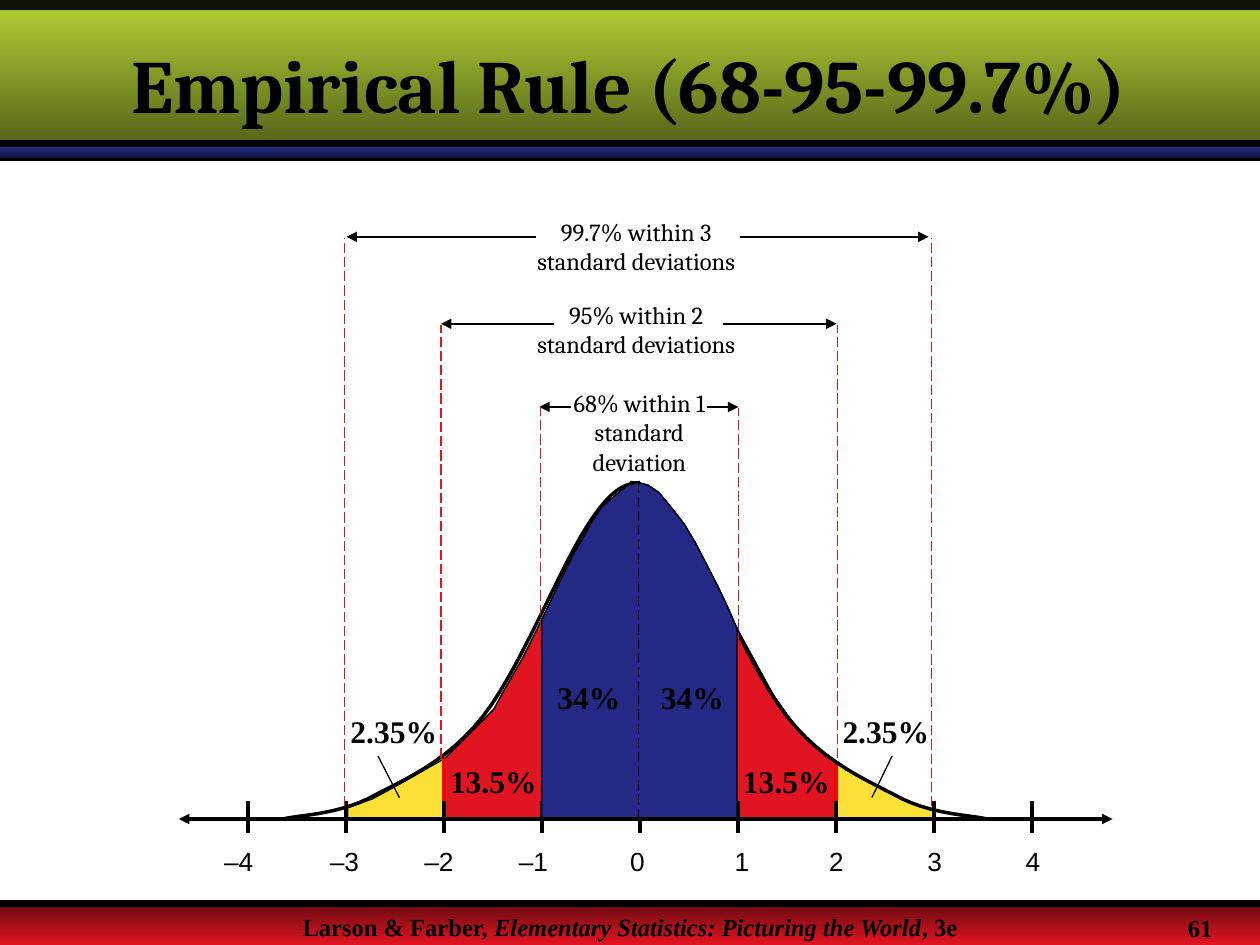
"""Build the Empirical Rule slide on a grid of 100 columns by 75 rows."""
from dataclasses import dataclass
from typing import NamedTuple

import lxml.etree
import pptx
import pptx.dml.color
import pptx.enum.dml
import pptx.enum.shapes
import pptx.enum.text
import pptx.oxml.ns
import pptx.util

RGBColor = pptx.dml.color.RGBColor
BLACK = RGBColor(0x00, 0x00, 0x00)
RED = RGBColor(0xE1, 0x15, 0x21)
DARK_RED = RGBColor(0x68, 0x0A, 0x0F)
EDGE_RED = RGBColor(0xFF, 0x00, 0x00)
BLUE = RGBColor(0x24, 0x29, 0x85)
DARK_BLUE = RGBColor(0x11, 0x13, 0x3E)
GREEN = RGBColor(0xB5, 0xD3, 0x35)
DARK_GREEN = RGBColor(0x54, 0x62, 0x19)
YELLOW = RGBColor(0xFB, 0xE1, 0x36)

COLUMNS, ROWS = 100, 75
CELL = pptx.util.Inches(0.1)
CENTER, DEVIATION = 50.8, 7.78
AXIS_ROW, FLOOR_ROW = 65, 64.9
LEFT, MIDDLE, RIGHT = (pptx.enum.text.PP_ALIGN.LEFT, pptx.enum.text.PP_ALIGN.CENTER,
                       pptx.enum.text.PP_ALIGN.RIGHT)
Point = tuple[float, float]


class Run(NamedTuple):
    text: str
    italic: bool = False


@dataclass
class Style:
    font: str
    size: float
    bold: bool = False
    align: pptx.enum.text.PP_ALIGN = MIDDLE
    inset: Point = (1, 0.5)
    wrap: bool = True


@dataclass
class Stroke:
    start: Point
    end: Point
    width: float = 0.75
    color: RGBColor = BLACK
    dashed: bool = False
    arrows: tuple[str, ...] = ()


@dataclass
class Span:
    text: str
    box: tuple[float, float, float, float]
    row: float
    inner: Point
    outer: Point
    guides: Point
    guide_foot: float


class Area(NamedTuple):
    low: float
    high: float
    color: RGBColor


FOOTER = Style("Times New Roman", 14, bold=True)
PAGE = Style("Times New Roman", 14, bold=True, align=LEFT, wrap=False)
CAPTION = Style("Cambria", 14)
PERCENT = Style("Times New Roman", 18, bold=True)
NEGATIVE = Style("Arial", 15, align=RIGHT, inset=(0, 0))
POSITIVE = Style("Arial", 15, align=LEFT, inset=(0, 0), wrap=False)

SPANS = [
    Span("68% within 1 standard deviation", (44.1, 30.3, 13.3, 8), 32.3,
         (45.3, 56.1), (42.8, 58.6), (42.9, 58.6), 53.3),
    Span("99.7% within 3 standard deviations", (40.1, 16.7, 20.8, 5.7), 18.8,
         (42.5, 58.7), (27.5, 73.7), (27.35, 73.95), 64),
    Span("95% within 2 standard deviations", (40.5, 23.3, 20, 5.7), 25.7,
         (44, 57.4), (35, 66.4), (35, 66.45), 60.2),
]
PERCENTS = [("34%", 42.6, 53.3, 8.3), ("34%", 50.8, 53.3, 8.3), ("13.5%", 34.2, 60, 9.9),
            ("13.5%", 57.8, 60, 9.2), ("2.35%", 26.3, 56, 9.9), ("2.35%", 65.7, 56, 9.2)]
NEGATIVE_LEFTS = [15.8, 24.2, 31.7, 39.2]
POSITIVE_LEFTS = [50, 58.3, 65.8, 73.6, 81.4]
OUTLINE: list[Point] = [
    (27.6, 64.1), (28.5, 63.8), (29.6, 63.4), (31.8, 62.2), (35.3, 60.2), (38, 57.5),
    (39.2, 56.3), (39.9, 55), (41.5, 52.2), (43.1, 49), (44, 47.1), (45.5, 44),
    (46.5, 42.3), (47, 41.4), (47.8, 40.2), (49, 39.2), (49.7, 38.6), (50.6, 38.3),
    (51.4, 38.5), (52.3, 39.1), (53.6, 40.7), (54.3, 41.6), (55.2, 43.1), (57, 46.6),
    (57.8, 48.3), (58.5, 49.9), (61.4, 55.2), (63.3, 57.9), (64.2, 58.9), (65.2, 59.6),
    (66.5, 60.5), (67.1, 61.1), (71.6, 63.4), (73.3, 64.1), (74.2, 64.4)]
CURVE: list[Point] = [
    (50.8, 38.3), (49.8, 38.4), (48.7, 38.5), (46.7, 41.6), (44.6, 44.7), (41.2, 53.3),
    (38.3, 56.9), (35.4, 60.6), (31.8, 62), (29.2, 63.4), (26.5, 64.7), (23.6, 64.7),
    (22.5, 65)]
MIRROR = 100.8


def cells(count: float) -> int:
    """Convert grid cells to slide units."""
    return round(count * CELL)


def draw_band(slide, top: float, height: float, first: RGBColor, last: RGBColor | None = None):
    """Draw a full-width band, with a vertical gradient when two colours are given."""
    band = slide.shapes.add_shape(pptx.enum.shapes.MSO_SHAPE.RECTANGLE, 0, cells(top),
                                  cells(COLUMNS), cells(height))
    band.shadow.inherit = False
    band.line.fill.background()
    if last is None:
        band.fill.solid()
        band.fill.fore_color.rgb = first
        color = band.element.spPr.find(".//" + pptx.oxml.ns.qn("a:srgbClr"))
        lxml.etree.SubElement(color, pptx.oxml.ns.qn("a:alpha"), val="90000")
        return
    band.fill.gradient()
    band.fill.gradient_angle = 270
    for stop, color in zip(band.fill.gradient_stops, (first, last)):
        stop.color.rgb = color


def draw_stroke(slide, stroke: Stroke):
    """Draw a straight line with optional dashes and arrowheads."""
    connector = slide.shapes.add_connector(
        pptx.enum.shapes.MSO_CONNECTOR.STRAIGHT, *map(cells, stroke.start + stroke.end))
    connector.line.color.rgb = stroke.color
    connector.line.width = pptx.util.Pt(stroke.width)
    if stroke.dashed:
        connector.line.dash_style = pptx.enum.dml.MSO_LINE.LONG_DASH
    outline = connector.line._get_or_add_ln()
    for end in stroke.arrows:
        lxml.etree.SubElement(outline, pptx.oxml.ns.qn(f"a:{end}"), type="triangle")
    lxml.etree.SubElement(connector.element.spPr, pptx.oxml.ns.qn("a:effectLst"))


def fill_paragraph(paragraph, runs: list[Run], style: Style):
    """Write formatted runs into a paragraph."""
    paragraph.alignment = style.align
    for part in runs:
        run = paragraph.add_run()
        run.text = part.text
        run.font.name = style.font
        run.font.size = pptx.util.Pt(style.size)
        run.font.bold = style.bold
        run.font.italic = part.italic
        run.font.color.rgb = BLACK


def draw_text(slide, box: tuple[float, float, float, float], runs: list[Run], style: Style):
    """Draw a text box on the grid."""
    frame = slide.shapes.add_textbox(*map(cells, box)).text_frame
    frame.word_wrap = style.wrap
    frame.margin_left = frame.margin_right = cells(style.inset[0])
    frame.margin_top = frame.margin_bottom = cells(style.inset[1])
    fill_paragraph(frame.paragraphs[0], runs, style)


def draw_outline(slide, points: list[Point], width: float, fill: RGBColor | None = None):
    """Draw a filled polygon, or an open line when there is no fill."""
    corners = [(cells(x), cells(y)) for x, y in points]
    builder = slide.shapes.build_freeform(*corners[0], scale=1.0)
    builder.add_line_segments(corners[1:], close=fill is not None)
    shape = builder.convert_to_shape()
    shape.shadow.inherit = False
    shape.line.color.rgb = BLACK
    shape.line.width = pptx.util.Pt(width)
    if fill is None:
        shape.fill.background()
    else:
        shape.fill.solid()
        shape.fill.fore_color.rgb = fill


def height_at(column: float) -> float:
    """Interpolate the bell outline's row at a column."""
    for (x1, y1), (x2, y2) in zip(OUTLINE, OUTLINE[1:]):
        if x1 <= column <= x2:
            return y1 + (y2 - y1) * (column - x1) / (x2 - x1)
    return FLOOR_ROW


def draw_area(slide, area: Area):
    """Fill the part of the bell between two columns."""
    inside = [point for point in OUTLINE if area.low < point[0] < area.high]
    draw_outline(slide, [(area.low, FLOOR_ROW), (area.low, height_at(area.low)), *inside,
                         (area.high, height_at(area.high)), (area.high, FLOOR_ROW)],
                 0.75, area.color)


def bezier_points(controls: list[Point], steps: int = 12) -> list[Point]:
    """Sample a chain of cubic curves."""
    points = [controls[0]]
    for first in range(0, len(controls) - 1, 3):
        for step in range(1, steps + 1):
            t = step / steps
            weights = ((1 - t) ** 3, 3 * t * (1 - t) ** 2, 3 * t * t * (1 - t), t ** 3)
            group = controls[first:first + 4]
            points.append((sum(w * p[0] for w, p in zip(weights, group)),
                           sum(w * p[1] for w, p in zip(weights, group))))
    return points


def draw_frame(slide):
    """Draw the bands, footer, page number and title."""
    draw_band(slide, 71.7, 3.3, DARK_RED, RED)
    draw_stroke(slide, Stroke((0, 12.5), (COLUMNS, 12.5), 4))
    draw_text(slide, (0, 71.9, COLUMNS, 2),
              [Run("Larson & Farber, "),
               Run("Elementary Statistics: Picturing the World", True), Run(", 3e")], FOOTER)
    draw_band(slide, 11.7, 0.8, BLUE, DARK_BLUE)
    draw_band(slide, 0, 11.7, GREEN, DARK_GREEN)
    draw_band(slide, 0, 0.8, BLACK)
    for row in (71.7, 11.4):
        draw_stroke(slide, Stroke((0, row), (COLUMNS, row), 4))
    draw_text(slide, (93.3, 72, 10.8, 3.4), [Run("61")], PAGE)
    title = slide.shapes.title
    title.left, title.top, title.width, title.height = map(cells, (0, 2.5, 99.8, 8.3))
    title.text_frame.vertical_anchor = pptx.enum.text.MSO_ANCHOR.MIDDLE
    title.text_frame.auto_size = pptx.enum.text.MSO_AUTO_SIZE.NONE
    fill_paragraph(title.text_frame.paragraphs[0], [Run("Empirical Rule (68-95-99.7%)")],
                   Style("Cambria", 43, bold=True))
    title.element.getparent().append(title.element)


def draw_axis(slide):
    """Draw the axis with its ticks and numbers."""
    draw_stroke(slide, Stroke((14.2, AXIS_ROW), (88.3, AXIS_ROW), 2,
                              arrows=("headEnd", "tailEnd")))
    for sigma in range(-4, 5):
        column = CENTER + sigma * DEVIATION
        draw_stroke(slide, Stroke((column, 63.6), (column, 66.1), 2))
    for sigma, left in zip(range(4, 0, -1), NEGATIVE_LEFTS):
        draw_text(slide, (left, 67.1, 4.3, 2.5), [Run(f"–{sigma}")], NEGATIVE)
    for sigma, left in enumerate(POSITIVE_LEFTS):
        draw_text(slide, (left, 67.1, 1.2, 2.5), [Run(str(sigma))], POSITIVE)


def draw_span(slide, span: Span):
    """Draw one caption with its two arrows and two guides."""
    draw_text(slide, span.box, [Run(span.text)], CAPTION)
    for inner, outer, guide in zip(span.inner, span.outer, span.guides):
        draw_stroke(slide, Stroke((guide, span.guide_foot), (guide, span.row + 0.1),
                                  color=RED, dashed=True))
        draw_stroke(slide, Stroke((inner, span.row), (outer, span.row), 1,
                                  arrows=("tailEnd",)))


def main():
    """Build and save the slide."""
    presentation = pptx.Presentation()
    presentation.slide_width, presentation.slide_height = cells(COLUMNS), cells(ROWS)
    slide = presentation.slides.add_slide(presentation.slide_layouts[5])
    draw_frame(slide)
    draw_area(slide, Area(27.6, 74.2, YELLOW))
    draw_area(slide, Area(35.2, 66.3, RED))
    for column, top in ((35.2, 60.1), (66.35, 60.5)):
        draw_stroke(slide, Stroke((column, AXIS_ROW), (column, top), 2.25, EDGE_RED))
    draw_axis(slide)
    curve = bezier_points(CURVE)
    draw_outline(slide, curve, 2)
    draw_outline(slide, [(MIRROR - x, y) for x, y in curve], 2)
    draw_area(slide, Area(43, 58.5, BLUE))
    draw_stroke(slide, Stroke((50.7, AXIS_ROW), (50.7, 38.3), dashed=True))
    for span in SPANS:
        draw_span(slide, span)
    for text, left, top, width in PERCENTS:
        draw_text(slide, (left, top, width, 4), [Run(text)], PERCENT)
    for start, end in ((30, 31.7), (70.8, 69.2)):
        draw_stroke(slide, Stroke((start, 60), (end, 63.3)))
    presentation.save("out.pptx")


if __name__ == "__main__":
    main()
